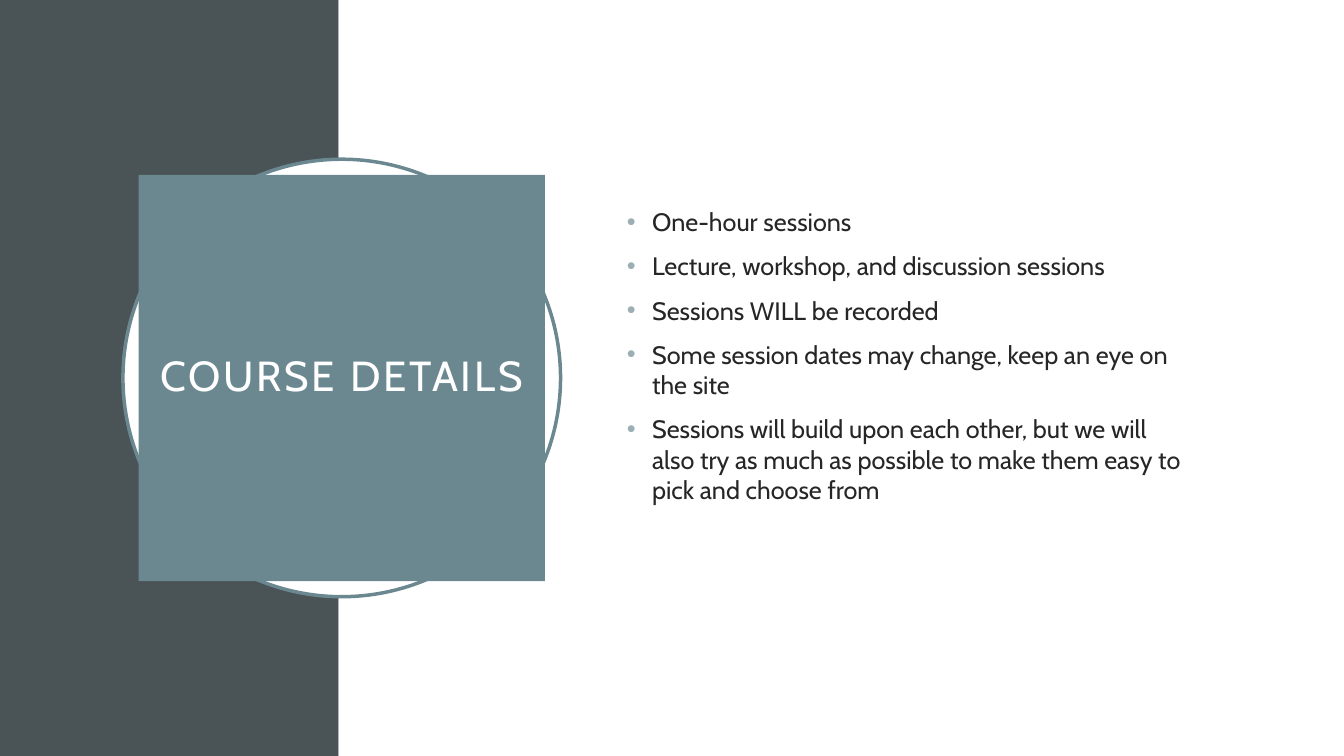
from typing import NamedTuple
from lxml.etree import SubElement
from pptx import Presentation
from pptx.dml.color import RGBColor
from pptx.enum.shapes import MSO_SHAPE as Preset
from pptx.enum.text import MSO_ANCHOR as Anchor, PP_ALIGN as Align
from pptx.oxml.ns import qn
from pptx.util import Inches, Pt

COLORS = {
    "slate": "4A5356",
    "teal": "6B8891",
    "mist": "9BAFB5",
    "white": "FFFFFF",
    "ink": "262626",
}
FONT = "Cabin"
WIDTH, HEIGHT = Inches(13.33), Inches(7.5)
COLUMN, ROW = WIDTH / 100, HEIGHT / 100
BADGE_CENTER = 25.43
DETAILS = [
    "One-hour sessions",
    "Lecture, workshop, and discussion sessions",
    "Sessions WILL be recorded",
    "Some session dates may change, keep an eye on the site",
    "Sessions will build upon each other, but we will also try as much as "
    "possible to make them easy to pick and choose from",
]


class Area(NamedTuple):
    left: float
    top: float
    width: float
    height: float

    def lengths(self) -> tuple[int, ...]:
        units = (COLUMN, ROW, COLUMN, ROW)
        return tuple(round(share * unit) for share, unit in zip(self, units))


class Panel(NamedTuple):
    preset: Preset
    area: Area
    fill: str
    line: str | None = None


def badge_area(rows: float) -> Area:
    columns = rows * ROW / COLUMN
    return Area(BADGE_CENTER - columns / 2, 50 - rows / 2, columns, rows)


def color(name: str) -> RGBColor:
    return RGBColor.from_string(COLORS[name])


def draw_panel(page, panel: Panel):
    shape = page.shapes.add_shape(panel.preset, *panel.area.lengths())
    shape.shadow.inherit = False
    shape.fill.solid()
    shape.fill.fore_color.rgb = color(panel.fill)
    if panel.line:
        shape.line.color.rgb = color(panel.line)
        shape.line.width = Pt(2.5)
    else:
        shape.line.fill.background()
    return shape


def add_bullet(para, tint: str) -> None:
    properties = para._p.get_or_add_pPr()
    properties.set("marL", str(Inches(0.25)))
    properties.set("indent", str(Inches(-0.25)))
    bullet_color = SubElement(properties, qn("a:buClr"))
    SubElement(bullet_color, qn("a:srgbClr"), val=COLORS[tint])
    SubElement(properties, qn("a:buFont"), typeface="Arial")
    SubElement(properties, qn("a:buChar"), char="•")


def write(box, lines: list[str], *, size: float, tint: str, align=Align.LEFT,
          before: float = 0, leading: float = 1.0, tracking: float = 0,
          bullet: str | None = None) -> None:
    frame = box.text_frame
    frame.word_wrap = True
    frame.vertical_anchor = Anchor.MIDDLE
    for index, line in enumerate(lines):
        para = frame.add_paragraph() if index else frame.paragraphs[0]
        para.alignment = align
        para.space_before = Pt(before)
        para.line_spacing = leading
        if bullet:
            add_bullet(para, bullet)
        span = para.add_run()
        span.text = line
        span.font.name = FONT
        span.font.size = Pt(size)
        span.font.color.rgb = color(tint)
        if tracking:
            span._r.get_or_add_rPr().set("spc", str(round(tracking * 100)))


deck = Presentation()
deck.slide_width, deck.slide_height = WIDTH, HEIGHT
page = deck.slides.add_slide(deck.slide_layouts[6])

panels = [
    Panel(Preset.RECTANGLE, Area(0, 0, 25.2, 100), "slate"),
    Panel(Preset.RECTANGLE, Area(25.2, 0, 74.8, 100), "white"),
    Panel(Preset.OVAL, badge_area(57.87), "white", "teal"),
    Panel(Preset.RECTANGLE, badge_area(53.73), "teal"),
]
title = [draw_panel(page, panel) for panel in panels][-1]
write(title, ["COURSE DETAILS"], size=30, tint="white", align=Align.CENTER,
      leading=0.9, tracking=2)

body = page.shapes.add_textbox(*Area(45.91, 20.4, 43.66, 53.2).lengths())
write(body, DETAILS, size=18, tint="ink", before=10, bullet="mist")

deck.save("out.pptx")
